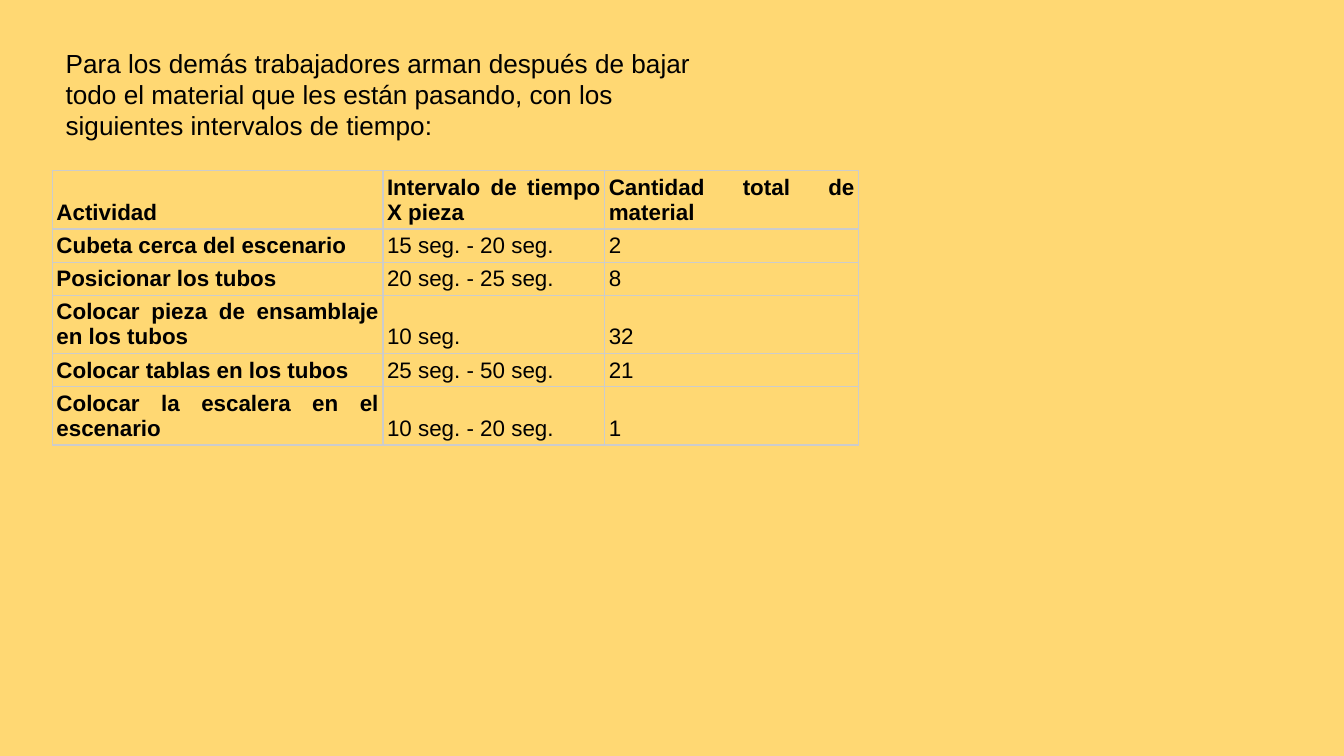
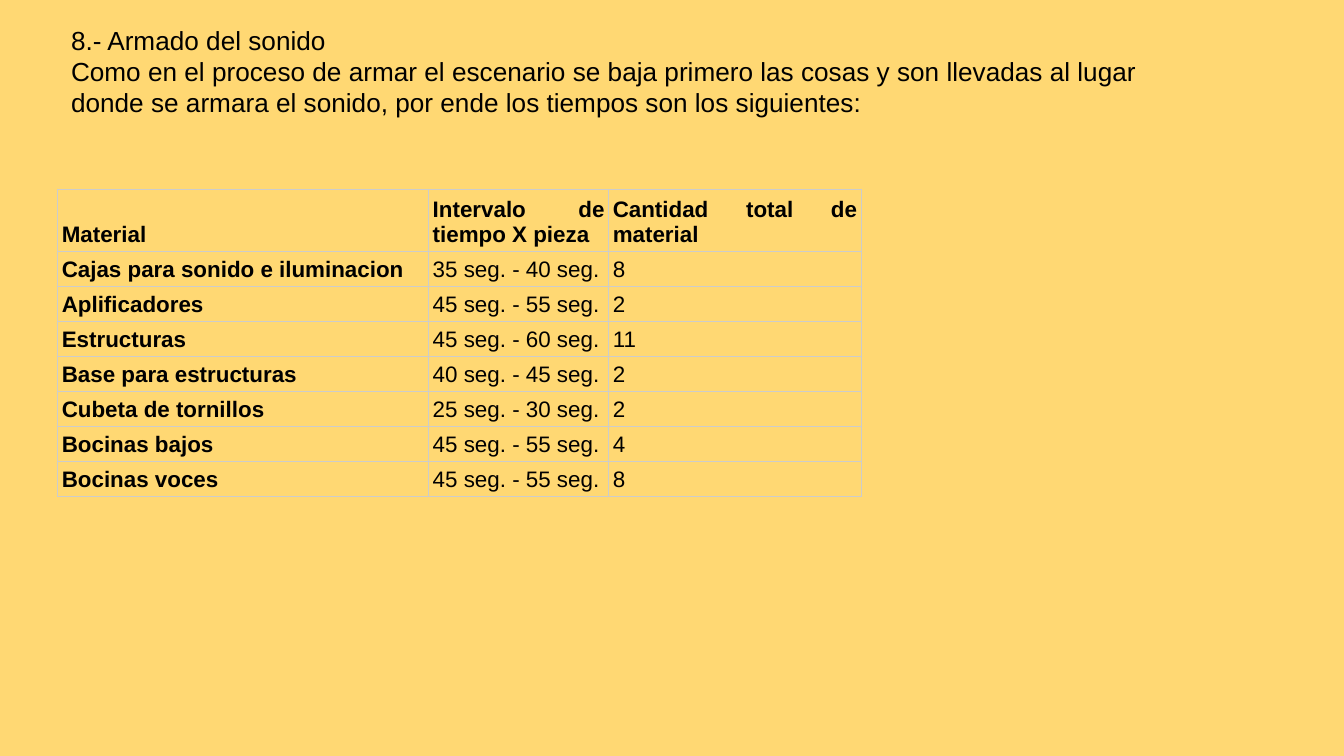
"""Build two slides with assembly time tables."""
from lxml.etree import SubElement
from pptx import Presentation
from pptx.dml.color import RGBColor
from pptx.enum.text import MSO_ANCHOR, MSO_AUTO_SIZE, PP_ALIGN
from pptx.oxml.ns import qn
from pptx.util import Inches, Pt

BACKGROUND = RGBColor(0xFF, 0xD8, 0x73)
BORDER = RGBColor(0xCC, 0xCC, 0xCC)
BLACK = RGBColor(0, 0, 0)
FONT = "Arial"
ROW_HEIGHT = 0.22
CELL_MARGIN = Inches(0.03)

STAGE_INTRO = [
    "Para los demás trabajadores arman después de bajar todo el material "
    "que les están pasando, con los siguientes intervalos de tiempo:",
]
STAGE_ROWS = [
    ("Actividad", "Intervalo de tiempo X pieza", "Cantidad total de material"),
    ("Cubeta cerca del escenario", "15 seg. - 20 seg.", "2"),
    ("Posicionar los tubos", "20 seg. - 25 seg.", "8"),
    ("Colocar pieza de ensamblaje en los tubos", "10 seg.", "32"),
    ("Colocar tablas en los tubos", "25 seg. - 50 seg.", "21"),
    ("Colocar la escalera en el escenario", "10 seg. - 20 seg.", "1"),
]
SOUND_INTRO = [
    "8.- Armado del sonido",
    "Como en el proceso de armar el escenario se baja primero las cosas y son "
    "llevadas al lugar donde se armara el sonido, por ende los tiempos son los "
    "siguientes:",
]
SOUND_ROWS = [
    ("Material", "Intervalo de tiempo X pieza", "Cantidad total de material"),
    ("Cajas para sonido e iluminacion", "35 seg. - 40 seg.", "8"),
    ("Aplificadores", "45 seg. - 55 seg.", "2"),
    ("Estructuras", "45 seg. - 60 seg.", "11"),
    ("Base para estructuras", "40 seg. - 45 seg.", "2"),
    ("Cubeta de tornillos", "25 seg. - 30 seg.", "2"),
    ("Bocinas bajos", "45 seg. - 55 seg.", "4"),
    ("Bocinas voces", "45 seg. - 55 seg.", "8"),
]


def add_slide(prs):
    """Add a blank slide with the shared background."""
    s = prs.slides.add_slide(prs.slide_layouts[6])
    s.background.fill.solid()
    s.background.fill.fore_color.rgb = BACKGROUND
    return s


def set_font(p, size, bold=False):
    """Apply the shared font to a paragraph."""
    p.font.name = FONT
    p.font.size = Pt(size)
    p.font.bold = bold
    p.font.color.rgb = BLACK


def add_intro(s, left, top, width, paragraphs):
    """Add the introductory text above a table."""
    sp = s.shapes.add_textbox(Inches(left), Inches(top), Inches(width), Inches(0.81))
    tf = sp.text_frame
    tf.word_wrap = True
    tf.auto_size = MSO_AUTO_SIZE.SHAPE_TO_FIT_TEXT
    tf.text = "\n".join(paragraphs)
    for p in tf.paragraphs:
        set_font(p, 14)


def set_borders(cell):
    """Draw a thin line on all four sides of a cell."""
    tcPr = cell._tc.get_or_add_tcPr()
    for side in ("lnL", "lnR", "lnT", "lnB"):
        ln = SubElement(tcPr, qn(f"a:{side}"), w=str(Pt(0.75)))
        fill = SubElement(ln, qn("a:solidFill"))
        SubElement(fill, qn("a:srgbClr"), val=str(BORDER))


def format_cell(cell, text, bold):
    """Fill one table cell with justified text at the bottom."""
    cell.text = text
    cell.vertical_anchor = MSO_ANCHOR.BOTTOM
    cell.margin_left = cell.margin_right = CELL_MARGIN
    cell.margin_top = cell.margin_bottom = CELL_MARGIN
    p = cell.text_frame.paragraphs[0]
    p.alignment = PP_ALIGN.JUSTIFY
    set_font(p, 12, bold)
    set_borders(cell)
    cell.fill.background()


def add_times_table(s, left, top, widths, rows):
    """Add a table whose first row and first column are bold."""
    table = s.shapes.add_table(
        len(rows), len(widths), Inches(left), Inches(top),
        Inches(sum(widths)), Inches(ROW_HEIGHT * len(rows))).table
    table.first_row = table.horz_banding = False
    for column, width in zip(table.columns, widths):
        column.width = Inches(width)
    for i, row in enumerate(rows):
        table.rows[i].height = Inches(ROW_HEIGHT)
        for j, text in enumerate(row):
            format_cell(table.cell(i, j), text, bold=i == 0 or j == 0)


def main():
    """Build and save the presentation."""
    prs = Presentation()
    prs.slide_width = Inches(10)
    prs.slide_height = prs.slide_width * 9 // 16

    s = add_slide(prs)
    add_times_table(s, 0.39, 1.27, (2.46, 1.65, 1.89), STAGE_ROWS)
    add_intro(s, 0.39, 0.3, 5, STAGE_INTRO)

    s = add_slide(prs)
    add_times_table(s, 0.43, 1.41, (2.76, 1.34, 1.88), SOUND_ROWS)
    add_intro(s, 0.43, 0.13, 8.15, SOUND_INTRO)

    prs.save("out.pptx")


if __name__ == "__main__":
    main()
